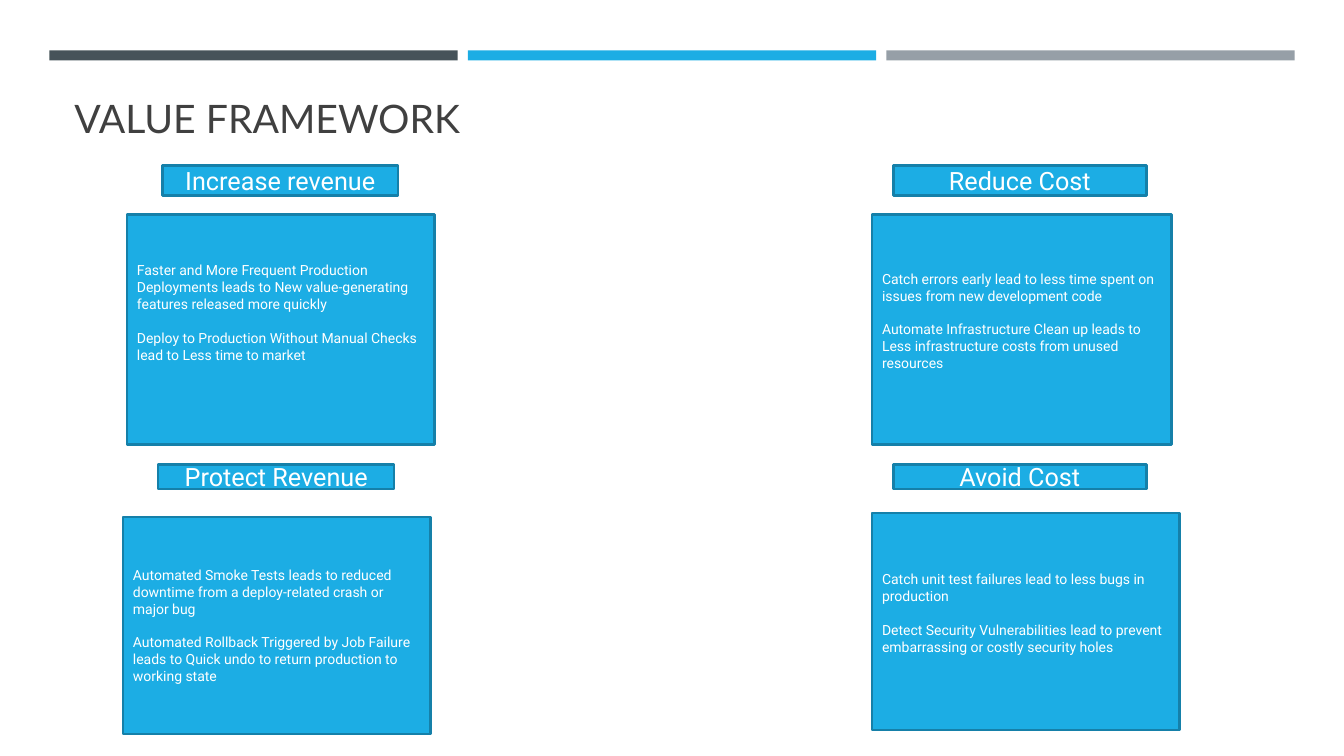
from pptx import Presentation
from pptx.dml.color import RGBColor
from pptx.enum import shapes, text
from pptx.util import Inches, Pt


def color(hex_code):
    return RGBColor.from_string(hex_code)


class ValueSlide:
    BLUE, EDGE, WHITE, INK = "1CADE4", "1580A9", "FFFFFF", "404040"
    LINE_HEIGHT = 0.17

    def __init__(self, deck):
        self.slide = deck.slides.add_slide(deck.slide_layouts[6])

    def fill_text(self, frame, paragraphs, align, frame_format, font_format, ink, gap=0):
        for name, value in {"word_wrap": True, **frame_format}.items():
            setattr(frame, name, value)
        for index, words in enumerate(paragraphs):
            paragraph = frame.paragraphs[0] if index == 0 else frame.add_paragraph()
            paragraph.alignment = align
            paragraph.space_before = Pt(gap if index else 0)
            run = paragraph.add_run()
            run.text = words
            for name, value in font_format.items():
                setattr(run.font, name, value)
            run.font.color.rgb = color(ink)

    def title(self, words, box):
        frame = self.slide.shapes.add_textbox(*map(Inches, box)).text_frame
        self.fill_text(frame, [words], text.PP_ALIGN.LEFT,
                       {"vertical_anchor": text.MSO_ANCHOR.BOTTOM},
                       {"name": "Lato", "size": Pt(28)}, self.INK)

    def rectangle(self, box, fill, edge=None):
        shape = self.slide.shapes.add_shape(
            shapes.MSO_SHAPE.RECTANGLE, *map(Inches, box))
        shape.shadow.inherit = False
        shape.fill.solid()
        shape.fill.fore_color.rgb = color(fill)
        if edge:
            shape.line.color.rgb = color(edge)
            shape.line.width = Pt(1.75)
        else:
            shape.line.fill.background()
        return shape

    def heading(self, words, box):
        frame = self.rectangle(box, self.BLUE, self.EDGE).text_frame
        self.fill_text(frame, [words], text.PP_ALIGN.CENTER,
                       {"vertical_anchor": text.MSO_ANCHOR.MIDDLE},
                       {"name": "Roboto", "size": Pt(18)}, self.WHITE)

    def benefits(self, paragraphs, box, lines_below):
        frame = self.rectangle(box, self.BLUE, self.EDGE).text_frame
        bottom = Inches(0.05 + lines_below * self.LINE_HEIGHT)
        self.fill_text(frame, paragraphs, text.PP_ALIGN.LEFT,
                       {"vertical_anchor": text.MSO_ANCHOR.MIDDLE,
                        "margin_bottom": bottom},
                       {"name": "Roboto", "size": Pt(10)}, self.WHITE, gap=12)


QUADRANTS = [
    ("Increase revenue", (1.61, 1.64, 2.34, 0.3), (1.26, 2.13, 3.05, 2.28), 2, [
        "Faster and More Frequent Production Deployments leads to "
        "New value-generating features released more quickly",
        "Deploy to Production Without Manual Checks lead to Less time to market"]),
    ("Protect Revenue", (1.57, 4.61, 2.34, 0.24), (1.22, 5.13, 3.05, 2.15), 0, [
        "Automated Smoke Tests leads to reduced downtime from "
        "a deploy-related crash or major bug",
        "Automated Rollback Triggered by Job Failure leads to "
        "Quick undo to return production to working state"]),
    ("Reduce Cost", (8.86, 1.64, 2.51, 0.3), (8.65, 2.13, 2.97, 2.28), 1, [
        "Catch errors early lead to less time spent on issues from new development code",
        "Automate Infrastructure Clean up leads to "
        "Less infrastructure costs from unused resources"]),
    ("Avoid Cost", (8.86, 4.61, 2.51, 0.24), (8.65, 5.09, 3.05, 2.15), 1, [
        "Catch unit test failures lead to less bugs in production",
        "Detect Security Vulnerabilities lead to prevent "
        "embarrassing or costly security holes"]),
]


def main():
    deck = Presentation()
    deck.slide_width, deck.slide_height = Inches(13.33), Inches(7.5)
    page = ValueSlide(deck)
    for column, fill in enumerate(["465359", ValueSlide.BLUE, "969FA7"]):
        page.rectangle((0.49 + column * 4.15, 0.5, 4.05, 0.1), fill)
    page.title("VALUE FRAMEWORK", (0.64, 0.77, 12.06, 0.68))
    for name, heading_box, benefits_box, lines_below, paragraphs in QUADRANTS:
        page.benefits(paragraphs, benefits_box, lines_below)
        page.heading(name, heading_box)
    deck.save("out.pptx")


if __name__ == "__main__":
    main()
